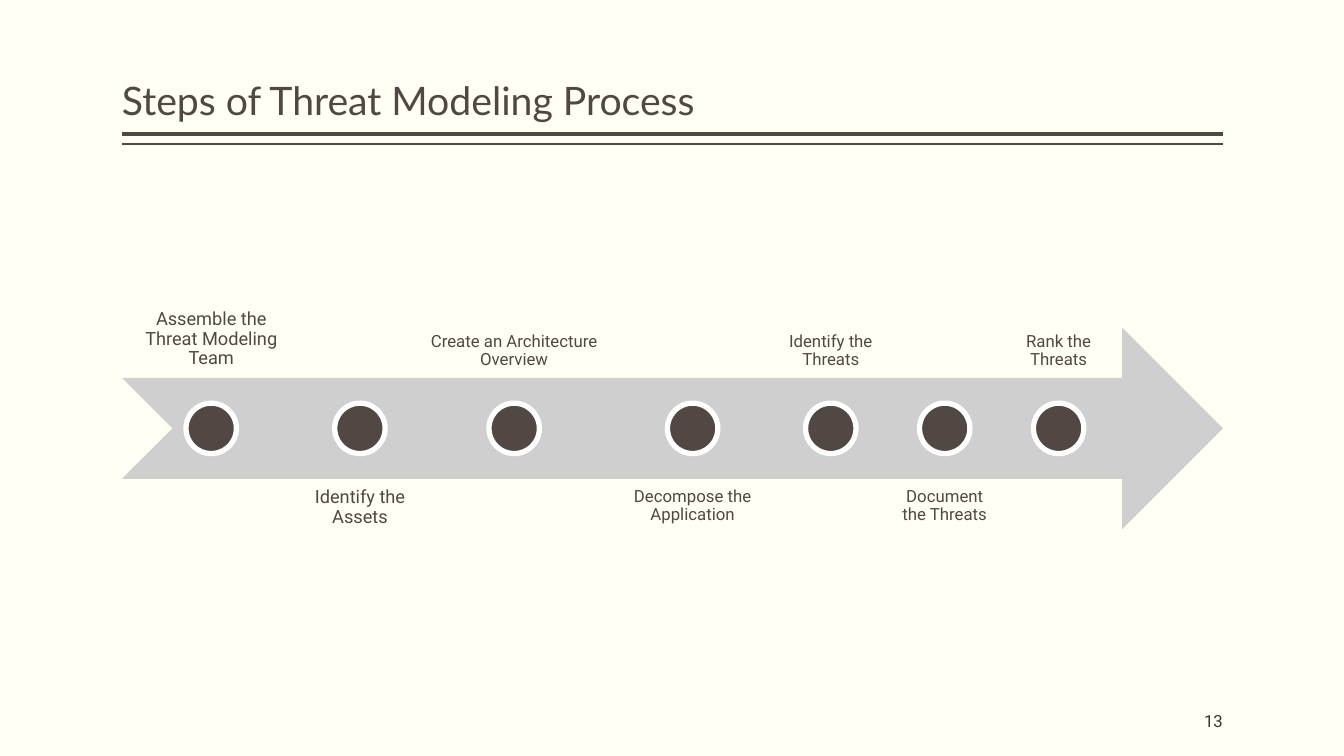
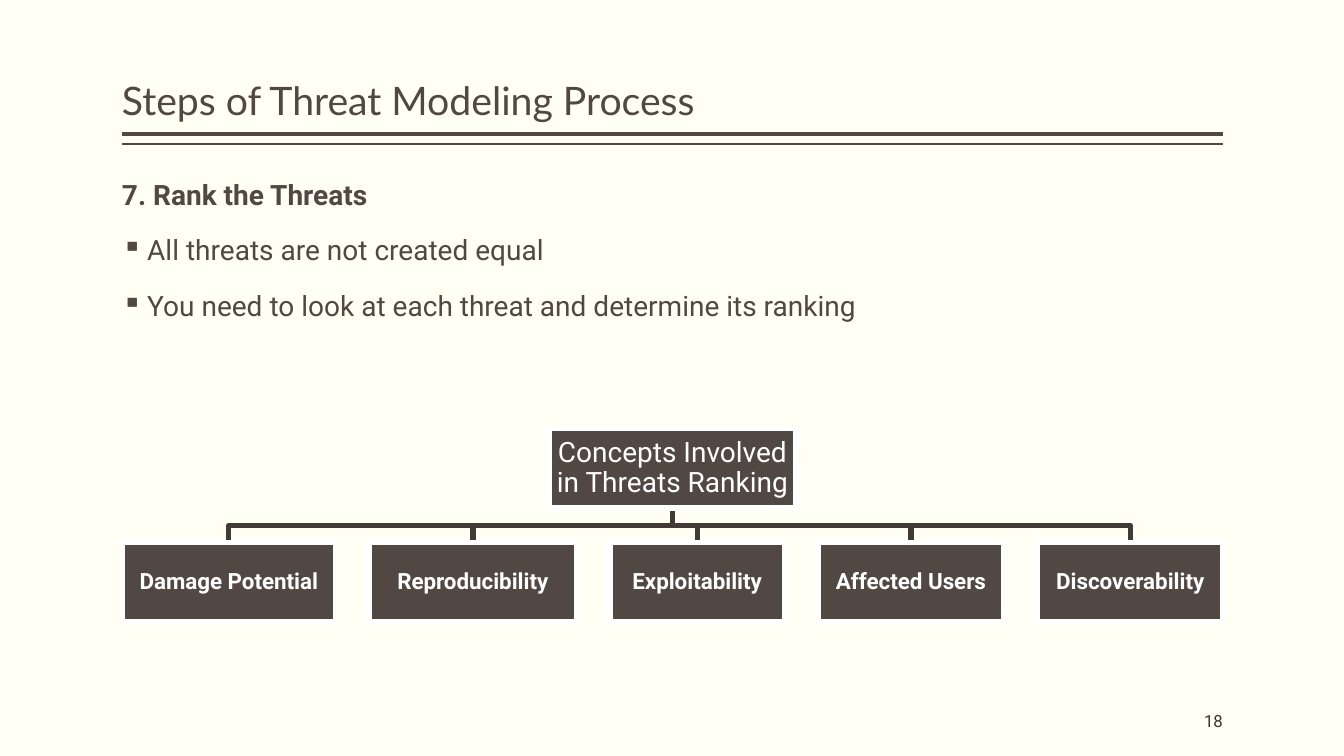
from lxml.etree import SubElement
from pptx import Presentation
from pptx.dml.color import RGBColor
from pptx.enum.shapes import MSO_CONNECTOR, MSO_SHAPE as SHAPE
from pptx.enum.text import MSO_ANCHOR as ANCHOR, MSO_AUTO_SIZE, PP_ALIGN as ALIGN
from pptx.oxml.ns import qn
from pptx.util import Inches, Pt

COLORS = {
    "paper": "FFFFF3",
    "brown": "514843",
    "branch": "413A36",
    "number": "3D3632",
    "arrow": "D0CFCF",
    "white": "FFFFFF",
}
TITLE_FONT, BODY_FONT = "Lato", "Roboto"
LEFT, WIDTH = 1.21, 10.92
RIGHT = LEFT + WIDTH
OUTLINE = 3.78

TITLE = "Steps of Threat Modeling Process"

# label, column width, text size
STEPS = [
    ("Assemble the Threat Modeling Team", 1.77, 13),
    ("Identify the Assets", 1.08, 13),
    ("Create an Architecture Overview", 1.88, 12),
    ("Decompose the Application", 1.56, 12),
    ("Identify the Threats", 1.08, 12),
    ("Document the Threats", 1.08, 12),
    ("Rank the Threats", 1.08, 12),
]
# label, box width
CONCEPTS = [
    ("Damage Potential", 2.12),
    ("Reproducibility", 2.05),
    ("Exploitability", 1.73),
    ("Affected Users", 1.84),
    ("Discoverability", 1.84),
]


def rgb(name):
    return RGBColor.from_string(COLORS[name])


def columns(widths, gap):
    """Left edges of side-by-side columns that start at the left margin."""
    return [LEFT + sum(widths[:i]) + i * gap for i in range(len(widths))]


def add_bullet(p, char="▪", indent=0.25):
    pPr = p._p.get_or_add_pPr()
    pPr.set("marL", str(Inches(indent)))
    pPr.set("indent", str(-Inches(indent)))
    SubElement(pPr, qn("a:buChar")).set("char", char)


def write(shape, text, size, color="brown", font=BODY_FONT, bold=False, align=ALIGN.LEFT,
          anchor=ANCHOR.TOP, inset=(0, 0.05), spacing=0.9, before=0, bullet=False, append=False):
    """Put one paragraph into a shape; with append, after the existing ones."""
    tf = shape.text_frame
    tf.word_wrap = True
    tf.auto_size = MSO_AUTO_SIZE.NONE
    tf.vertical_anchor = anchor
    tf.margin_left = tf.margin_right = Inches(inset[0])
    tf.margin_top = tf.margin_bottom = Inches(inset[1])
    p = tf.add_paragraph() if append else tf.paragraphs[0]
    if bullet:
        add_bullet(p)
    p.alignment = align
    p.line_spacing = spacing
    p.space_before = Pt(before)
    r = p.add_run()
    r.text = text
    r.font.name, r.font.size, r.font.bold = font, Pt(size), bold
    r.font.color.rgb = rgb(color)


def add_text(slide, x, y, w, h, text, size, **style):
    box = slide.shapes.add_textbox(Inches(x), Inches(y), Inches(w), Inches(h))
    write(box, text, size, **style)
    return box


def add_figure(slide, kind, x, y, w, h, fill="brown", line="white"):
    s = slide.shapes.add_shape(kind, Inches(x), Inches(y), Inches(w), Inches(h))
    s.shadow.inherit = False
    s.fill.solid()
    s.fill.fore_color.rgb = rgb(fill)
    if line:
        s.line.color.rgb = rgb(line)
        s.line.width = Pt(OUTLINE)
    else:
        s.line.fill.background()
    return s


def add_rule(slide, y, width):
    line = slide.shapes.add_connector(
        MSO_CONNECTOR.STRAIGHT, Inches(LEFT), Inches(y), Inches(RIGHT), Inches(y))
    line.line.color.rgb = rgb("brown")
    line.line.width = Pt(width)
    SubElement(line._element.spPr, qn("a:effectLst"))


def add_branch(slide, x1, y1, x2, y2):
    """Draw an elbow line that goes down, across and down again."""
    middle = (y1 + y2) / 2
    builder = slide.shapes.build_freeform(Inches(x1), Inches(y1))
    corners = [(x1, middle), (x2, middle), (x2, y2)]
    builder.add_line_segments([(Inches(x), Inches(y)) for x, y in corners], close=False)
    s = builder.convert_to_shape()
    s.shadow.inherit = False
    s.fill.background()
    s.line.color.rgb = rgb("branch")
    s.line.width = Pt(OUTLINE)


def add_slide(prs, number):
    """Start a slide with the shared title, double rule and slide number."""
    slide = prs.slides.add_slide(prs.slide_layouts[5])
    add_rule(slide, 1.33, 3)
    add_rule(slide, 1.43, 1)
    title = slide.shapes.title
    title.left, title.top = Inches(LEFT), Inches(0.08)
    title.width, title.height = Inches(WIDTH), Inches(1.2)
    write(title, TITLE, 28, font=TITLE_FONT, anchor=ANCHOR.BOTTOM)
    add_text(slide, RIGHT - 2, 6.95, 2, 0.4, str(number), 12, color="number",
             align=ALIGN.RIGHT, anchor=ANCHOR.MIDDLE, spacing=1.0)
    return slide


def add_timeline(slide):
    add_figure(slide, SHAPE.NOTCHED_RIGHT_ARROW, LEFT, 3.25, WIDTH, 2, "arrow", None)
    dot = 0.5
    lefts = columns([w for _, w, _ in STEPS], 0.05)
    for i, (x, (label, w, size)) in enumerate(zip(lefts, STEPS)):
        top, anchor = (4.75, ANCHOR.TOP) if i % 2 else (1.75, ANCHOR.BOTTOM)
        add_text(slide, x, top, w, 2, label, size, align=ALIGN.CENTER,
                 anchor=anchor, inset=(0.09, 0.09))
        add_figure(slide, SHAPE.OVAL, x + (w - dot) / 2, 4, dot, dot)


def add_concept_box(slide, x, y, w, label, size, bold=False):
    box = add_figure(slide, SHAPE.RECTANGLE, x, y, w, 0.79)
    write(box, label, size, color="white", bold=bold, align=ALIGN.CENTER,
          anchor=ANCHOR.MIDDLE, inset=(0.01, 0.01))


def add_concept_tree(slide):
    root_w, child_y = 2.45, 5.38
    center = LEFT + WIDTH / 2
    widths = [w for _, w in CONCEPTS]
    lefts = columns(widths, (WIDTH - sum(widths)) / (len(widths) - 1))
    for x, w in zip(lefts, widths):
        add_branch(slide, center, 5.05, x + w / 2, child_y)
    add_concept_box(slide, center - root_w / 2, 4.25, root_w,
                    "Concepts Involved in Threats Ranking", 20)
    for x, (label, w) in zip(lefts, CONCEPTS):
        add_concept_box(slide, x, child_y, w, label, 16, bold=True)


def add_ranking_text(slide):
    body = add_text(slide, LEFT, 1.75, WIDTH, 1.93, "7. Rank the Threats", 20,
                    bold=True, align=ALIGN.JUSTIFY)
    for line in ("All threats are not created equal",
                 "You need to look at each threat and determine its ranking"):
        write(body, line, 20, align=ALIGN.JUSTIFY, before=18, bullet=True, append=True)


def main():
    prs = Presentation()
    prs.slide_width, prs.slide_height = Inches(13.33), Inches(7.5)
    background = prs.slide_master.background.fill
    background.solid()
    background.fore_color.rgb = rgb("paper")

    add_timeline(add_slide(prs, 13))

    ranking = add_slide(prs, 18)
    add_concept_tree(ranking)
    add_ranking_text(ranking)

    prs.save("out.pptx")


if __name__ == "__main__":
    main()
